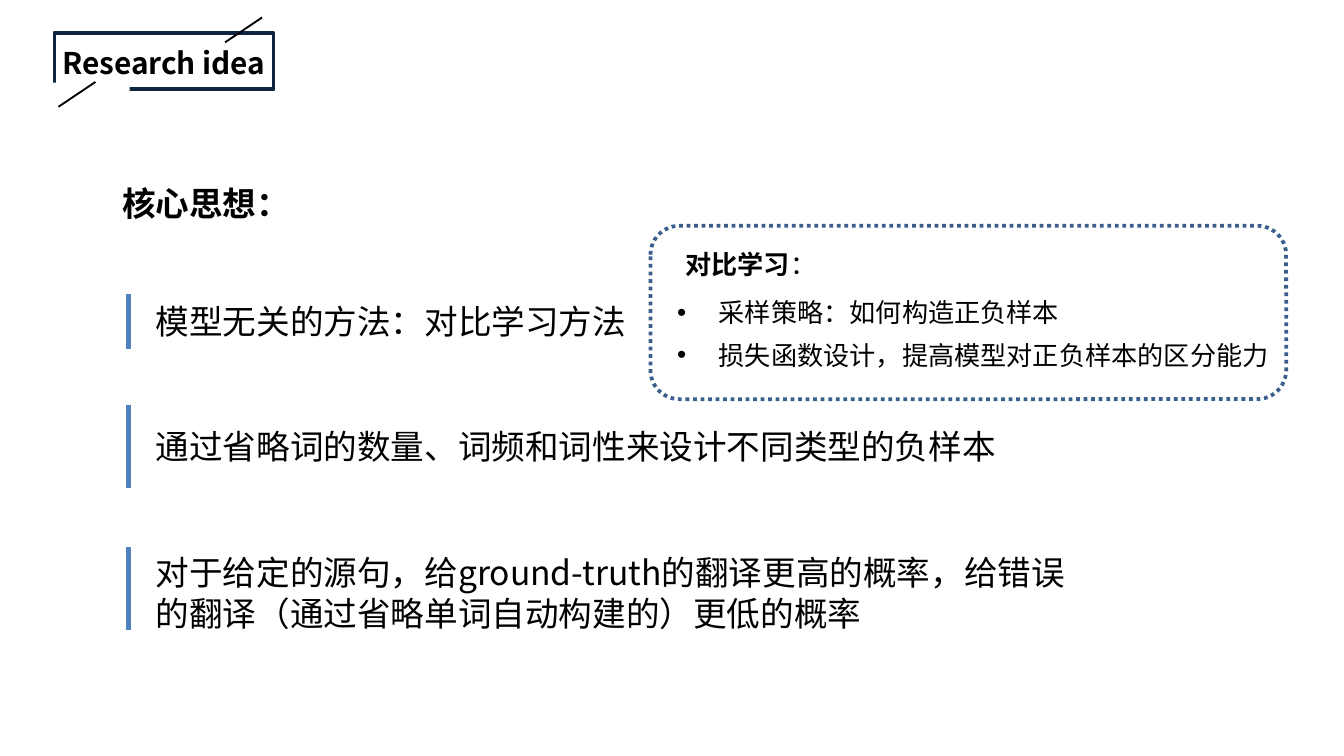
from dataclasses import dataclass

from lxml import etree
from pptx import Presentation
from pptx.dml.color import RGBColor
from pptx.enum.dml import MSO_LINE
from pptx.enum.shapes import MSO_CONNECTOR, MSO_SHAPE
from pptx.enum.text import PP_ALIGN
from pptx.oxml.ns import qn
from pptx.util import Pt

PX = 4572
STRAIGHT = MSO_CONNECTOR.STRAIGHT
RECTANGLE = MSO_SHAPE.RECTANGLE
ROUNDED = MSO_SHAPE.ROUNDED_RECTANGLE
DOTTED = MSO_LINE.ROUND_DOT
LEFT, CENTER = PP_ALIGN.LEFT, PP_ALIGN.CENTER


@dataclass(frozen=True)
class Theme:
    """Colours, font and type sizes of the slide."""
    font: str = "Noto Sans CJK SC"
    text: str = "000000"
    paper: str = "FFFFFF"
    frame: str = "0F243E"
    accent: str = "4F81BD"
    callout: str = "3A5F8C"
    title_size: int = 16
    body_size: int = 18
    note_size: int = 14


THEME = Theme()


def emu(*lengths):
    """Turn px lengths into EMU."""
    return [length * PX for length in lengths]


def add_line(slide, start, end, color, width):
    """Draw a straight line without shadow."""
    line = slide.shapes.add_connector(STRAIGHT, *emu(*start, *end))
    line.line.color.rgb = RGBColor.from_string(color)
    line.line.width = Pt(width)
    etree.SubElement(line._element.spPr, qn("a:effectLst"))


def add_box(slide, kind, box, fill=None, color=None, dash=None):
    """Draw a preset shape with an optional fill and outline."""
    shape = slide.shapes.add_shape(kind, *emu(*box))
    shape.shadow.inherit = False
    if fill:
        shape.fill.solid()
        shape.fill.fore_color.rgb = RGBColor.from_string(fill)
    else:
        shape.fill.background()
    if color:
        shape.line.color.rgb = RGBColor.from_string(color)
        shape.line.width = Pt(2)
        shape.line.dash_style = dash
    else:
        shape.line.fill.background()


def add_text(slide, box, runs, size, align=LEFT, bullet=False):
    """Write one paragraph of (text, bold) runs."""
    frame = slide.shapes.add_textbox(*emu(*box)).text_frame
    frame.word_wrap = True
    paragraph = frame.paragraphs[0]
    paragraph.alignment = align
    if bullet:
        properties = paragraph._p.get_or_add_pPr()
        properties.set("marL", str(62 * PX))
        properties.set("indent", str(-62 * PX))
        etree.SubElement(properties, qn("a:buFont"), typeface="Arial")
        etree.SubElement(properties, qn("a:buChar"), char="•")
    for text, bold in runs:
        run = paragraph.add_run()
        run.text = text
        for name, value in {"name": THEME.font, "size": Pt(size), "bold": bold}.items():
            setattr(run.font, name, value)
        run.font.color.rgb = RGBColor.from_string(THEME.text)
        etree.SubElement(run._r.get_or_add_rPr(), qn("a:ea"), typeface=THEME.font)


def add_title(slide, left, top, width, height, text):
    """Place the title in its broken frame with two slashes."""
    add_box(slide, RECTANGLE, (left, top, width, height), color=THEME.frame)
    add_box(slide, RECTANGLE, (left - 48, top + 74, 160, 16), fill=THEME.paper)
    for x, y in ((309, -23), (61, 73)):
        start, end = (left + x, top + y), (left + x - 55, top + y + 37)
        add_line(slide, start, end, THEME.text, 1)
    add_text(slide, (left - 57, top + 7, width + 114, 74), [(text, True)],
             THEME.title_size, CENTER)


def add_point(slide, left, top, width, height, text, text_top):
    """Place one key point beside its accent bar."""
    add_line(slide, (left, top), (left, top + height), THEME.accent, 3)
    add_text(slide, (left + 21, top + text_top, width - 21, height),
             [(text, False)], THEME.body_size)


def add_callout(slide, left, top, width, height, heading, items):
    """Place the dotted callout with its heading and bullets."""
    add_text(slide, (left + 32, top + 24, 882, 68),
             [(heading, True), ("：", False)], THEME.note_size)
    for index, item in enumerate(items):
        add_text(slide, (left + 20, top + 96 + 63 * index, 988, 68),
                 [(item, False)], THEME.note_size, bullet=True)
    add_box(slide, ROUNDED, (left, top, width, height), color=THEME.callout, dash=DOTTED)


def main():
    """Build and save the slide."""
    presentation = Presentation()
    presentation.slide_width, presentation.slide_height = emu(2000, 1125)
    slide = presentation.slides.add_slide(presentation.slide_layouts[6])
    add_title(slide, 81, 49, 326, 84, "Research idea")
    add_text(slide, (162, 262, 346, 142), [("核心思想：", True)], THEME.body_size)
    points = (
        (438, 82, 0, "模型无关的方法：对比学习方法"),
        (602, 124, 22, "通过省略词的数量、词频和词性来设计不同类型的负样本"),
        (814, 124, -2, "对于给定的源句，给ground-truth的翻译更高的概率，"
                       "给错误的翻译（通过省略单词自动构建的）更低的概率"),
    )
    for top, height, text_top, text in points:
        add_point(slide, 191, top, 1423, height, text, text_top)
    add_callout(slide, 968, 336, 946, 258, "对比学习",
                ("采样策略：如何构造正负样本", "损失函数设计，提高模型对正负样本的区分能力"))
    presentation.save("out.pptx")


if __name__ == "__main__":
    main()
